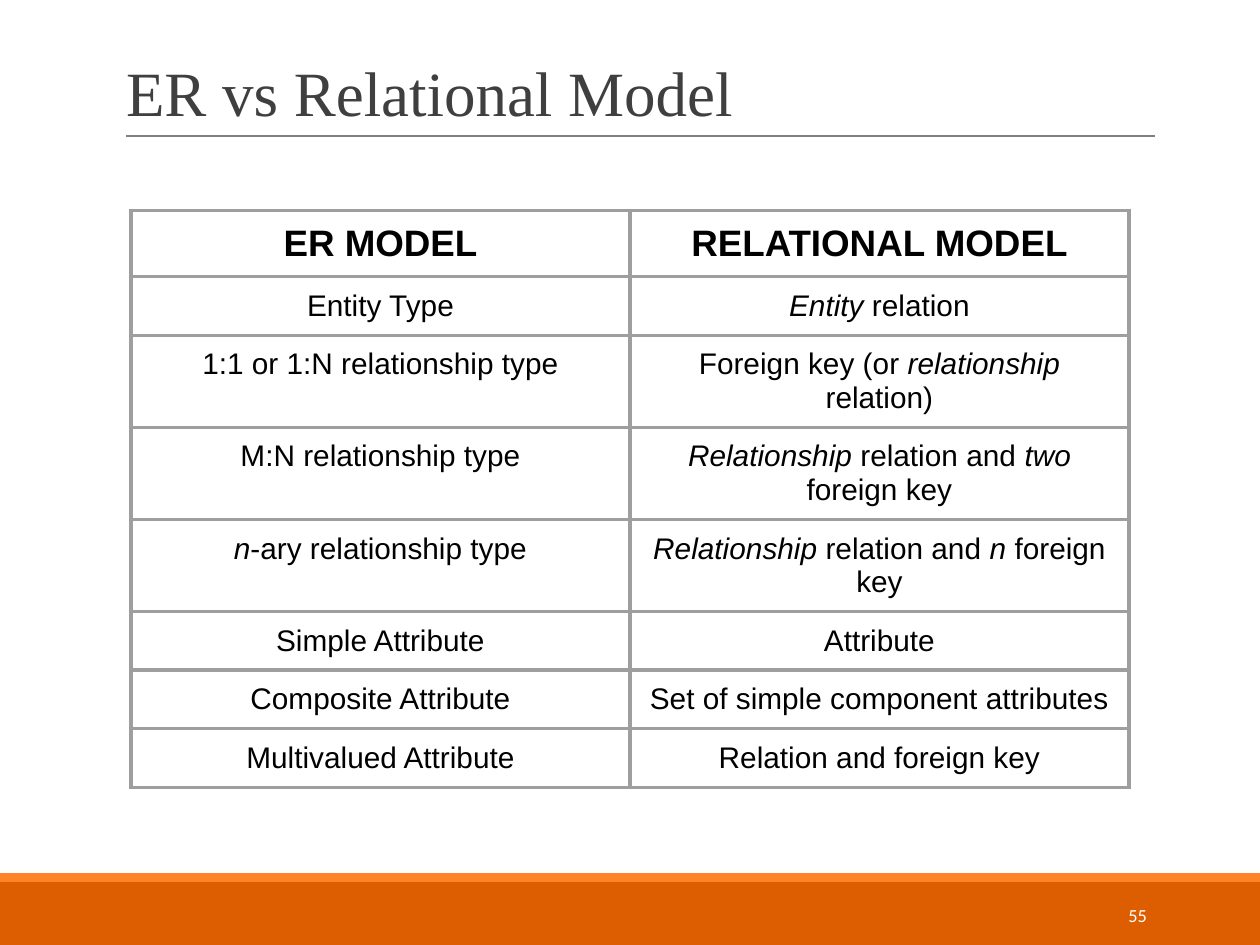
"""Build the slide that maps ER concepts to relational ones."""
import pptx
import pptx.dml.color
import pptx.enum.shapes
import pptx.enum.text
import pptx.oxml
import pptx.oxml.ns
import pptx.util

Inches, Pt = pptx.util.Inches, pptx.util.Pt
ALIGN = pptx.enum.text.PP_ALIGN
ANCHOR = pptx.enum.text.MSO_ANCHOR

COLORS = {
    "bar": "DC5E00",
    "accent": "FF8427",
    "rule": "7F7F7F",
    "title": "3F3F3F",
    "border": "9E9E9E",
    "text": "000000",
    "number": "FFFFFF",
}

ROWS = [
    ("ER MODEL", "RELATIONAL MODEL"),
    ("Entity Type", "*Entity* relation"),
    ("1:1 or 1:N relationship type", "Foreign key (or *relationship* relation)"),
    ("M:N relationship type", "*Relationship* relation and *two* foreign key"),
    ("*n*-ary relationship type", "*Relationship* relation and *n* foreign key"),
    ("Simple Attribute", "Attribute"),
    ("Composite Attribute", "Set of simple component attributes"),
    ("Multivalued Attribute", "Relation and foreign key"),
]


def rgb(name):
    """Return the named colour."""
    return pptx.dml.color.RGBColor.from_string(COLORS[name])


class Deck:
    """Hold the style and the current slide."""

    def __init__(self):
        self.prs = pptx.Presentation()
        self.prs.slide_width, self.prs.slide_height = Inches(10), Inches(7.5)
        self.s = self.prs.slides.add_slide(self.prs.slide_layouts[5])

    def font(self, p, name, size, color, bold=False):
        """Set the font of a paragraph."""
        p.font.name, p.font.size, p.font.bold = name, Pt(size), bold
        p.font.color.rgb = rgb(color)

    def place(self, sp, box):
        """Move a shape to a box given in inches."""
        sp.left, sp.top, sp.width, sp.height = map(Inches, box)

    def bar(self, box, color):
        """Draw a plain filled rectangle."""
        sp = self.s.shapes.add_shape(
            pptx.enum.shapes.MSO_SHAPE.RECTANGLE, *map(Inches, box))
        sp.shadow.inherit = False
        sp.fill.solid()
        sp.fill.fore_color.rgb = rgb(color)
        sp.line.fill.background()

    def rule(self, x1, x2, y):
        """Draw a thin horizontal line."""
        line = self.s.shapes.add_connector(
            pptx.enum.shapes.MSO_CONNECTOR.STRAIGHT,
            Inches(x1), Inches(y), Inches(x2), Inches(y))
        line.line.color.rgb = rgb("rule")
        line.line.width = Pt(0.75)
        line._element.spPr.append(pptx.oxml.parse_xml(
            f"<a:effectLst {pptx.oxml.ns.nsdecls('a')}/>"))

    def title(self, text, box):
        """Fill the title placeholder."""
        sp = self.s.shapes.title
        self.place(sp, box)
        tf = sp.text_frame
        tf.text = text
        tf.vertical_anchor = ANCHOR.BOTTOM
        tf.auto_size = pptx.enum.text.MSO_AUTO_SIZE.NONE
        p = tf.paragraphs[0]
        p.alignment, p.line_spacing = ALIGN.LEFT, 0.85
        self.font(p, "Times New Roman", 36, "title")

    def number(self, text, box):
        """Add the slide number."""
        tf = self.s.shapes.add_textbox(*map(Inches, box)).text_frame
        tf.word_wrap = True
        tf.vertical_anchor = ANCHOR.MIDDLE
        tf.text = text
        p = tf.paragraphs[0]
        p.alignment = ALIGN.RIGHT
        self.font(p, "Calibri", 10.5, "number")

    def borders(self, cell, width):
        """Outline a table cell on all four sides."""
        tc_pr = cell._tc.get_or_add_tcPr()
        for side in "LRTB":
            tc_pr.append(pptx.oxml.parse_xml(
                f'<a:ln{side} {pptx.oxml.ns.nsdecls("a")} w="{Pt(width)}"><a:solidFill>'
                f'<a:srgbClr val="{COLORS["border"]}"/></a:solidFill></a:ln{side}>'))

    def cell(self, cell, text, header):
        """Format a cell; text between asterisks is italic."""
        cell.margin_left = cell.margin_right = Inches(0.1)
        cell.margin_top = cell.margin_bottom = Inches(0.1)
        self.borders(cell, 2.25)
        cell.fill.background()
        p = cell.text_frame.paragraphs[0]
        p.alignment = ALIGN.CENTER
        self.font(p, "Arial", 21 if header else 17, "text", header)
        for i, part in enumerate(text.split("*")):
            if part:
                r = p.add_run()
                r.text = part
                r.font.italic = i % 2 == 1

    def table(self, rows, left, top, width, row_height):
        """Add a bordered table whose first row is the header."""
        table = self.s.shapes.add_table(
            len(rows), len(rows[0]), Inches(left), Inches(top),
            Inches(width), Inches(row_height * len(rows))).table
        table.horz_banding = False
        for i, row in enumerate(rows):
            for j, text in enumerate(row):
                self.cell(table.cell(i, j), text, i == 0)


def main():
    """Build and save the slide."""
    deck = Deck()
    deck.bar((0, 7, 10, 0.5), "bar")
    deck.bar((0, 6.93, 10, 0.07), "accent")
    deck.rule(1, 9.17, 1.08)
    deck.title("ER vs Relational Model", (0.9, 0.25, 8.25, 0.83))
    deck.table(ROWS, 1.04, 1.67, 7.92, 0.42)
    deck.number("55", (8.12, 7.06, 1.08, 0.4))
    deck.prs.save("out.pptx")


if __name__ == "__main__":
    main()
